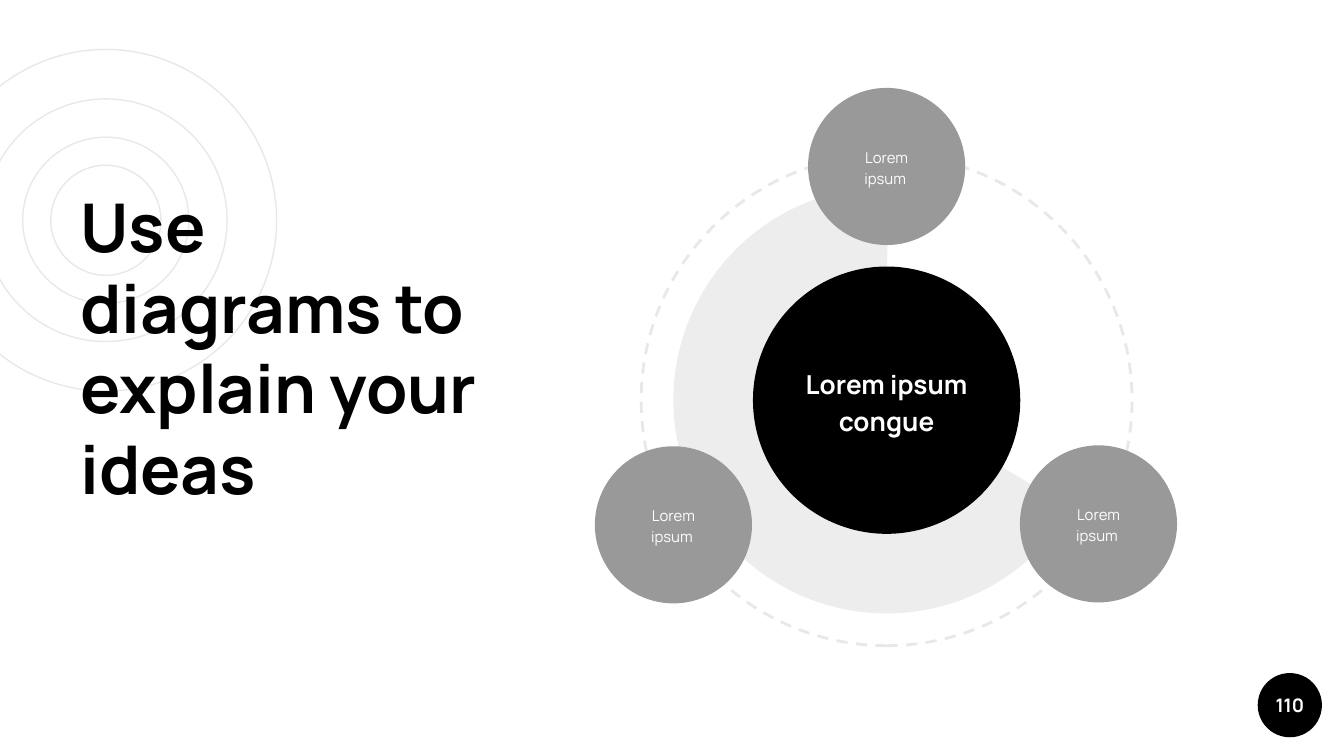
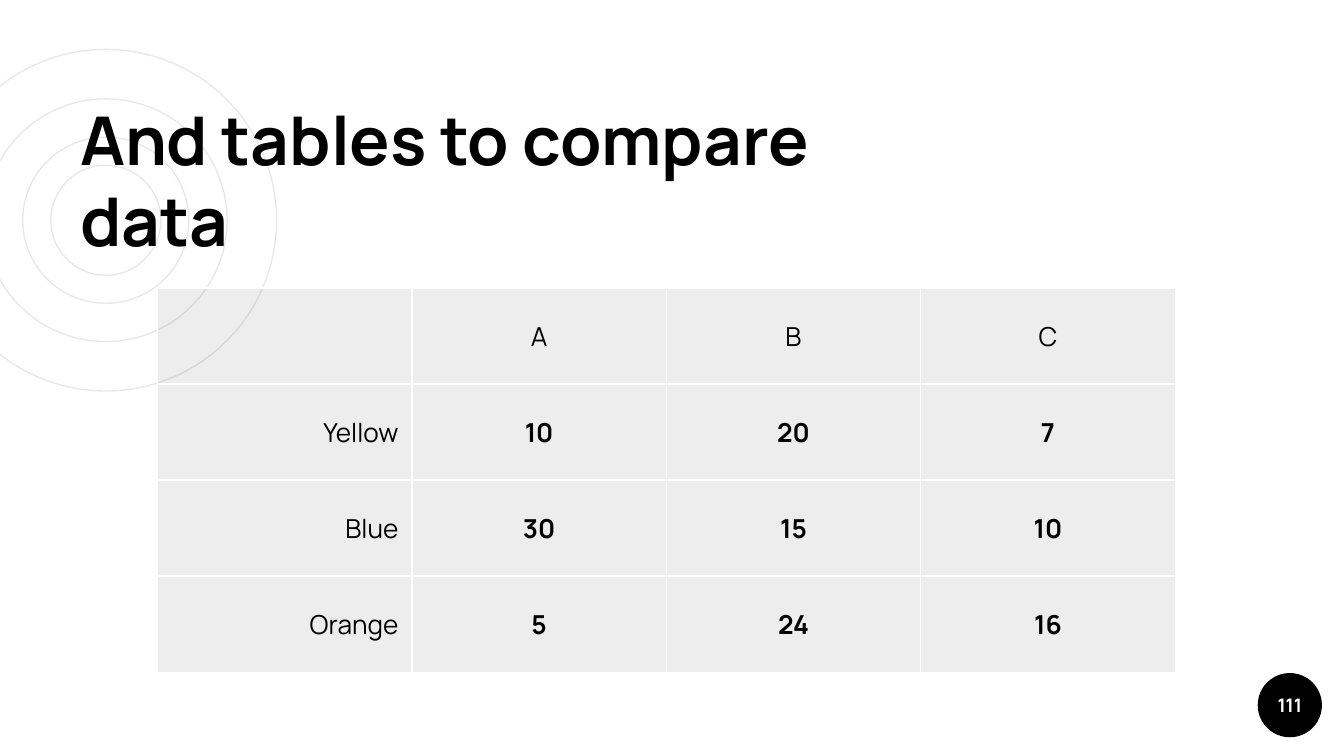
import lxml.etree
import pptx
import pptx.dml.color
import pptx.enum.dml
import pptx.enum.shapes
import pptx.enum.text
import pptx.oxml.ns
import pptx.util

Pt = pptx.util.Pt
RGBColor = pptx.dml.color.RGBColor
Align = pptx.enum.text.PP_ALIGN
Anchor = pptx.enum.text.MSO_ANCHOR
Shape = pptx.enum.shapes.MSO_SHAPE
qn = pptx.oxml.ns.qn

# Content
DIAGRAM_TITLE = "Use diagrams to explain your ideas"
HUB_LABEL = "Lorem ipsum congue"
SATELLITES = [  # label, centre x, centre y
    ("Lorem ipsum ", 475, 89.2),
    ("Lorem ipsum ", 360.8, 281.2),
    ("Lorem ipsum ", 588.5, 280.7),
]
TABLE_TITLE = "And tables to compare data"
TABLE_ROWS = [
    ("", "A", "B", "C"),
    ("Yellow", "10", "20", "7"),
    ("Blue", "30", "15", "10"),
    ("Orange", "5", "24", "16"),
]

# Shared look, lengths in points
BLACK = RGBColor(0x00, 0x00, 0x00)
WHITE = RGBColor(0xFF, 0xFF, 0xFF)
GRAY = RGBColor(0x99, 0x99, 0x99)
PALE = RGBColor(0xE8, 0xE8, 0xE8)
TINT_PERCENT = 7
FONT = "Manrope"
INSET = 7.2
RING_CENTER, RING_DIAMETERS = (56.7, 118), (183, 89, 130, 59)
BADGE_CENTER, BADGE_DIAMETER = (691, 377.8), 34.4
HUB_CENTER = (475, 214.4)
ORBIT_DIAMETER, PIE_DIAMETER, HUB_DIAMETER = 263, 228.5, 143.2
PIE_ANGLES = (30.19, 270.25)
SATELLITE_DIAMETER = 84.2
TABLE_LEFT, TABLE_TOP, COLUMN_WIDTH, ROW_HEIGHT = 84.4, 154.3, 136.3, 51.45

TITLE = dict(size=Pt(36), bold=True, color=BLACK)
BADGE = dict(size=Pt(10), bold=True, color=WHITE)
HUB = dict(size=Pt(14), bold=True, color=WHITE)
SATELLITE = dict(size=Pt(8), bold=False, color=WHITE)
TABLE_LABEL = dict(size=Pt(14), bold=False, color=BLACK)
TABLE_VALUE = dict(TABLE_LABEL, bold=True)


def set_all(target, **values):
    for name, value in values.items():
        setattr(target, name, value)


def write(para, text, style, **layout):
    set_all(para, **layout)
    span = para.add_run()
    span.text = text
    span.font.color.rgb = style["color"]
    set_all(span.font, name=FONT, size=style["size"], bold=style["bold"])


def add_text(page, text, bounds, style, anchor=Anchor.MIDDLE, **layout):
    frame = page.shapes.add_textbox(*map(Pt, bounds)).text_frame
    set_all(frame, word_wrap=True, vertical_anchor=anchor,
            margin_left=Pt(INSET), margin_right=Pt(INSET),
            margin_top=Pt(INSET), margin_bottom=Pt(INSET))
    write(frame.paragraphs[0], text, style, **layout)


def centered(center, width, height):
    return center[0] - width / 2, center[1] - height / 2, width, height


def add_round(page, center, diameter, fill=None, line=None, weight=0.75, kind=Shape.OVAL):
    bounds = centered(center, diameter, diameter)
    shape = page.shapes.add_shape(kind, *map(Pt, bounds))
    shape.shadow.inherit = False
    if fill is None:
        shape.fill.background()
    else:
        shape.fill.solid()
        shape.fill.fore_color.rgb = fill
    if line is None:
        shape.line.fill.background()
    else:
        shape.line.color.rgb = line
        shape.line.width = Pt(weight)
    return shape


def make_tint(properties):
    color = properties.find(qn("a:solidFill")).find(qn("a:srgbClr"))
    lxml.etree.SubElement(color, qn("a:alpha"), val=str(TINT_PERCENT * 1000))


def add_borders(properties):
    for index, side in enumerate(("lnL", "lnR", "lnT", "lnB")):
        border = lxml.etree.Element(qn("a:" + side), w=str(Pt(0.75)))
        fill = lxml.etree.SubElement(border, qn("a:solidFill"))
        lxml.etree.SubElement(fill, qn("a:srgbClr"), val=str(WHITE))
        properties.insert(index, border)


def add_page(deck, number, title, title_bounds, anchor):
    page = deck.slides.add_slide(deck.slide_layouts[6])
    page.background.fill.solid()
    page.background.fill.fore_color.rgb = WHITE
    for diameter in RING_DIAMETERS:
        add_round(page, RING_CENTER, diameter, line=PALE)
    add_round(page, BADGE_CENTER, BADGE_DIAMETER, fill=BLACK)
    add_text(page, title, title_bounds, TITLE, anchor)
    add_text(page, str(number), centered(BADGE_CENTER, BADGE_DIAMETER, BADGE_DIAMETER),
             BADGE, alignment=Align.CENTER)
    return page


def add_diagram(page):
    # Dashed orbit and tinted sector
    orbit = add_round(page, HUB_CENTER, ORBIT_DIAMETER, line=PALE, weight=1.5)
    set_all(orbit, rotation=270)
    orbit.line.dash_style = pptx.enum.dml.MSO_LINE.DASH
    pie = add_round(page, HUB_CENTER, PIE_DIAMETER, fill=BLACK, kind=Shape.PIE)
    for index, angle in enumerate(PIE_ANGLES):
        pie.adjustments[index] = angle * 0.6
    make_tint(pie.element.spPr)

    # Hub and satellites
    label_layout = dict(alignment=Align.CENTER, line_spacing=1.15)
    add_round(page, HUB_CENTER, HUB_DIAMETER, fill=BLACK)
    add_text(page, HUB_LABEL, centered(HUB_CENTER, 106, 65), HUB, **label_layout)
    for label, *center in SATELLITES:
        add_round(page, center, SATELLITE_DIAMETER, fill=GRAY)
        add_text(page, label, centered(center, 60, 57.6), SATELLITE, **label_layout)


def add_comparison(page):
    rows, columns = len(TABLE_ROWS), len(TABLE_ROWS[0])
    bounds = (TABLE_LEFT, TABLE_TOP, columns * COLUMN_WIDTH, rows * ROW_HEIGHT)
    table = page.shapes.add_table(rows, columns, *map(Pt, bounds)).table
    set_all(table, first_row=False, horz_banding=False)
    for column in table.columns:
        column.width = Pt(COLUMN_WIDTH)
    for r, texts in enumerate(TABLE_ROWS):
        table.rows[r].height = Pt(ROW_HEIGHT)
        for c, text in enumerate(texts):
            cell = table.cell(r, c)
            set_all(cell, vertical_anchor=Anchor.MIDDLE,
                    margin_left=Pt(INSET), margin_right=Pt(INSET),
                    margin_top=Pt(5), margin_bottom=Pt(5))
            cell.fill.solid()
            cell.fill.fore_color.rgb = BLACK
            properties = cell._tc.get_or_add_tcPr()
            make_tint(properties)
            add_borders(properties)
            if text:
                write(cell.text_frame.paragraphs[0], text,
                      TABLE_VALUE if r and c else TABLE_LABEL,
                      alignment=Align.CENTER if c else Align.RIGHT)


def main():
    deck = pptx.Presentation()
    set_all(deck, slide_width=Pt(720), slide_height=Pt(405))
    add_diagram(add_page(deck, 110, DIAGRAM_TITLE, (36, 92.2, 236, 232), Anchor.TOP))
    add_comparison(add_page(deck, 111, TABLE_TITLE, (36, 92.2, 411, 54), Anchor.BOTTOM))
    deck.save("out.pptx")


if __name__ == "__main__":
    main()
